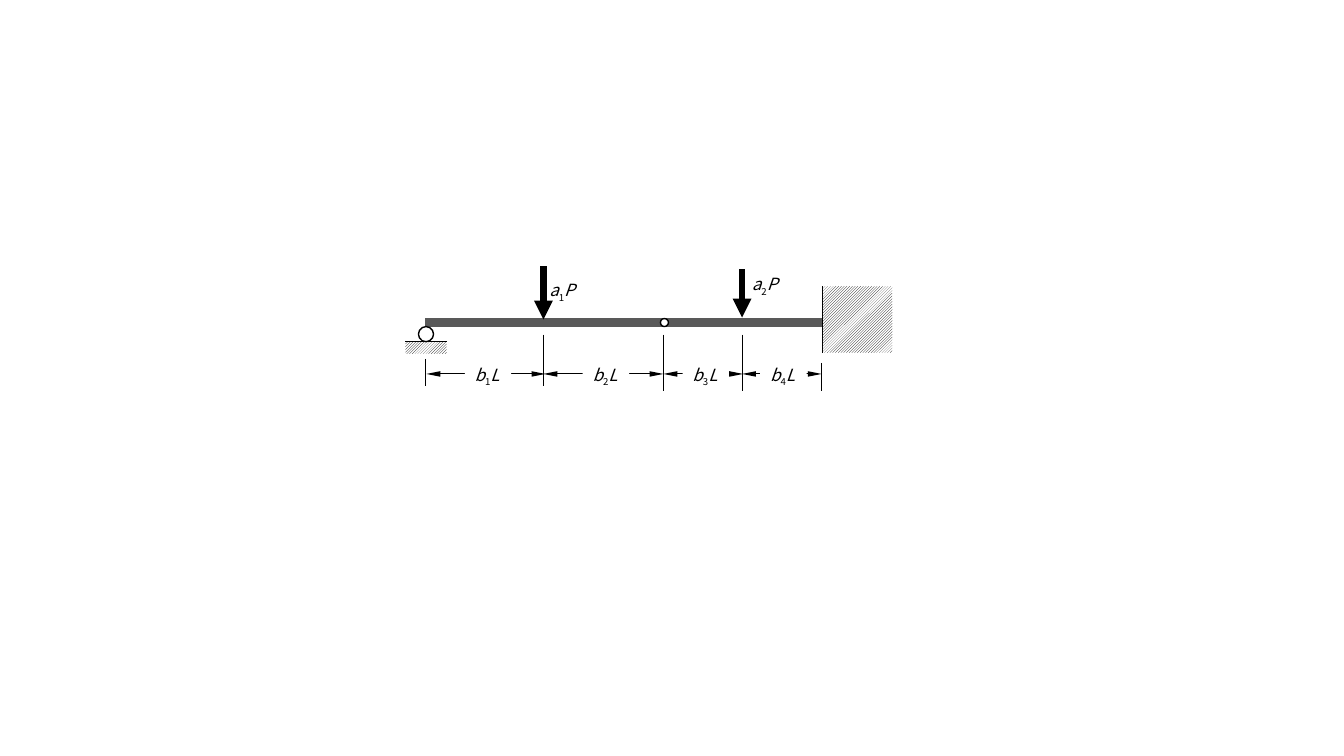
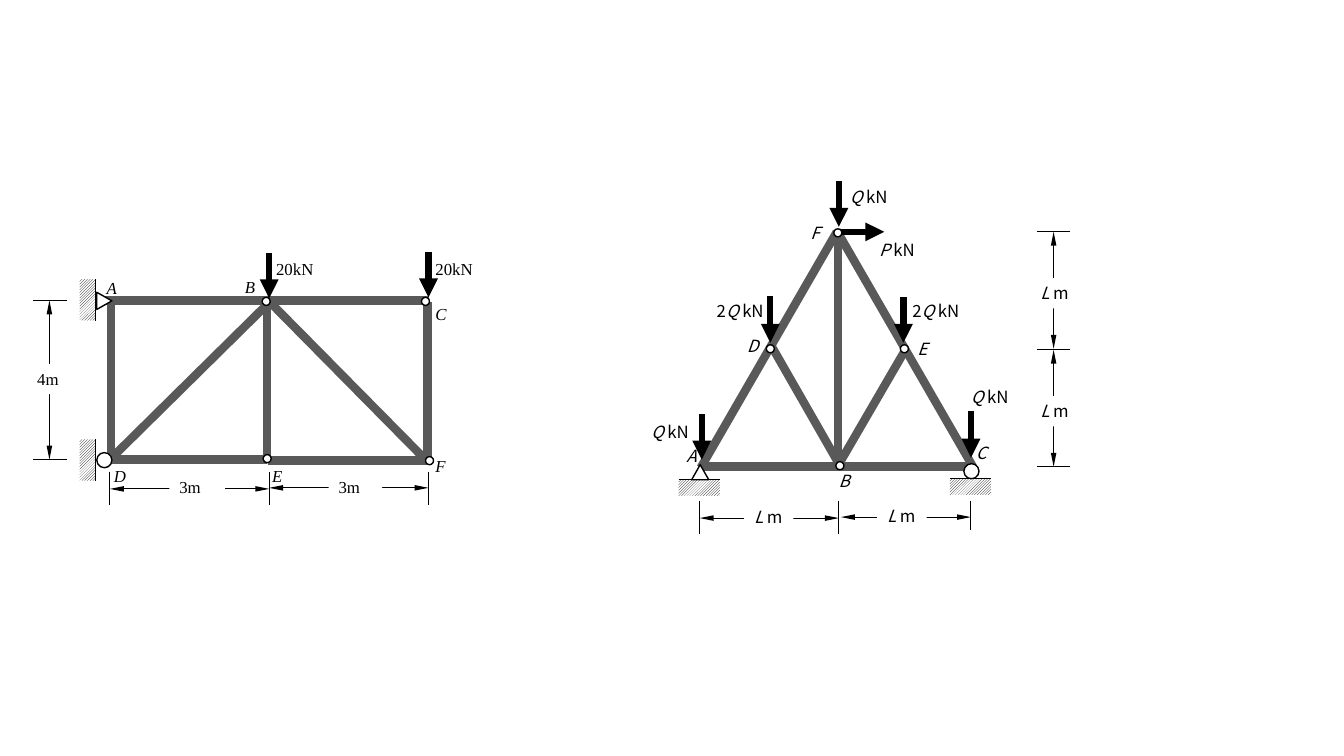
from dataclasses import dataclass

from lxml.etree import SubElement
from pptx import Presentation
from pptx.dml.color import RGBColor
from pptx.enum.dml import MSO_PATTERN
from pptx.enum.shapes import MSO_CONNECTOR, MSO_SHAPE
from pptx.enum.text import MSO_ANCHOR, PP_ALIGN
from pptx.oxml.ns import qn
from pptx.util import Inches, Pt


@dataclass(frozen=True)
class Theme:
    ink = RGBColor(0x00, 0x00, 0x00)
    paper = RGBColor(0xFF, 0xFF, 0xFF)
    steel = RGBColor(0x59, 0x59, 0x59)
    sans = "Noto Sans CJK KR"
    serif = "Times New Roman"
    text_size = Pt(12)
    member = Pt(6)
    load = Pt(4.5)
    outline = Pt(1)
    thin = Pt(0.75)
    pin = 0.8
    roller = 1.5
    wedge = (1.7, 1.5)
    row_height = 3
    label_width = 7.5


theme = Theme()
cell = Inches(0.1)


def draw_line(slide, points, width, color=theme.ink, arrows=()):
    line = slide.shapes.add_connector(
        MSO_CONNECTOR.STRAIGHT, *[round(value * cell) for value in points])
    line.line.width = width
    line.line.color.rgb = color
    head_width, head_length = ("sm", "lg") if width == theme.thin else ("med", "med")
    for end in arrows:
        SubElement(line.line._get_or_add_ln(), qn("a:" + end),
                   type="triangle", w=head_width, len=head_length)
    SubElement(line._element.spPr, qn("a:effectLst"))


def draw_shape(slide, kind, box, outlined=True):
    shape = slide.shapes.add_shape(kind, *[round(value * cell) for value in box])
    shape.shadow.inherit = False
    shape.fill.solid()
    shape.fill.fore_color.rgb = theme.paper
    if outlined:
        shape.line.color.rgb = theme.ink
        shape.line.width = theme.outline
    else:
        shape.line.fill.background()
    return shape


load_q = [("Q ", "italic"), ("kN", "")]
load_2q = [("2", "")] + load_q
load_p = [("P ", "italic"), ("kN", "")]
length_l = [("L", "italic"), (" m", "")]

beam = dict(
    page=0, font=theme.sans,
    members=[(42.2, 32, 81.6, 32)],
    walls=[(81.6, 28.4, 6.9, 6.6, "left"), (40.2, 33.9, 4.1, 1.2, "top")],
    wedges=[],
    rollers=[(42.25, 33.15)],
    loads=[(53.9, 31.7, 53.9, 26.4), (73.6, 31.5, 73.6, 26.7)],
    pins=[(65.9, 32)],
    dimensions=[(left, 37.1, right, 37.1) for left, right in
                [(42.3, 54.1), (53.9, 65.8), (65.8, 73.7), (73.6, 81.5)]],
    ticks=[(42.2, 35.6, 42.2, 38.3), (53.9, 33.2, 53.9, 38.3),
           (65.8, 33.2, 65.8, 38.8), (73.6, 33.2, 73.6, 38.8),
           (81.5, 36, 81.5, 38.8)],
    measures=[(left, 35.7, 4.6, [("b", "italic"), (str(number), "sub"), ("L", "italic")])
              for number, left in enumerate([46.1, 57.8, 67.7, 75.4], 1)],
    labels=[(left, top, [("a", "italic"), (number, "sub"), ("P", "italic")])
            for number, left, top in [("1", 53.5, 27.3), ("2", 73.6, 26.7)]],
)

frame = dict(
    page=1, font=theme.serif,
    members=[(42.4, 45.5, 42.4, 30), (42.4, 45.7, 26.6, 45.7),
             (11, 45.9, 11, 30.1), (26.5, 45.4, 26.5, 29.9),
             (26.5, 45.6, 10.7, 45.6), (42.5, 29.8, 10.3, 29.8),
             (26.7, 30, 10.9, 45.6), (42.4, 45.8, 26.6, 29.8)],
    walls=[(7.9, top, 1.6, 4.1, "right") for top in (27.7, 43.6)],
    wedges=[(9.5, 29.1, 90)],
    rollers=[(10.35, 45.65)],
    loads=[(42.5, 29.5, 42.5, 25), (26.7, 29.6, 26.7, 25.1)],
    pins=[(26.5, 45.5), (26.4, 29.9), (42.2, 29.9), (42.6, 45.7)],
    dimensions=[(4.9, 29.8, 4.9, 45.6), (10.9, 48.5, 26.7, 48.5),
                (26.7, 48.4, 42.5, 48.4)],
    ticks=[(3.3, row, 6.6, row) for row in (29.8, 45.6)]
    + [(column, 46.8, column, 50.1) for column in (10.9, 26.7, 42.5)],
    measures=[(2.7, 36.1, 5.2, [("4m", "")]), (16.8, 46.8, 5.5, [("3m", "")]),
              (32.6, 46.8, 5.3, [("3m", "")])],
    labels=[(left, top, [(name, "italic")]) for name, left, top in
            [("A", 9.6, 27.1), ("B", 23.3, 27), ("C", 42.2, 29.6),
             ("D", 10.3, 45.7), ("E", 26, 45.7), ("F", 42.2, 44.7)]]
    + [(left, 25.2, [("20kN", "")]) for left in (26.4, 42.2)],
)

roof = dict(
    page=1, font=theme.sans,
    members=[(83, 23, 69.5, 46.4), (83, 22.9, 96.5, 46.3),
             (96.4, 46.3, 69.4, 46.3), (89.8, 34.7, 83, 46.4),
             (76.5, 34.3, 83.2, 46), (83.1, 46.1, 83.1, 23)],
    walls=[(67.3, 47.6, 4.1, 1.6, "top"), (94.2, 47.5, 4.1, 1.6, "top")],
    wedges=[(68.6, 46.1, 0)],
    rollers=[(96.35, 46.75)],
    loads=[(87.7, 23, 83.2, 23), (83.2, 22.5, 83.2, 18),
           (76.4, 34, 76.4, 29.4), (89.6, 34, 89.6, 29.5),
           (96.3, 45.4, 96.3, 40.8), (69.6, 45.6, 69.6, 41.1)],
    pins=[(76.4, 34.6), (89.7, 34.6), (83.3, 46.2), (83.1, 23.1)],
    dimensions=[(69.4, 51.4, 83.2, 51.4), (83.4, 51.3, 96.3, 51.3),
                (104.5, 23, 104.5, 34.6), (104.5, 34.7, 104.5, 46.3)],
    ticks=[(69.4, 49.7, 69.4, 53), (83.2, 49.7, 83.2, 53), (96.3, 49.7, 96.3, 52.6)]
    + [(102.9, row, 106.1, row) for row in (23, 34.7, 46.3)],
    measures=[(left, top, 4.9, length_l) for left, top in
              [(73.8, 49.8), (87, 49.7), (102.2, 39.3), (102.2, 27.6)]],
    labels=[(left, top, [(name, "italic")]) for name, left, top in
            [("A", 67.1, 43.7), ("B", 82.2, 46.2), ("C", 95.8, 43.4),
             ("D", 73.1, 32.8), ("E", 90, 33.1), ("F", 79.4, 21.6)]]
    + [(left, top, load_q) for left, top in [(83.3, 18), (95.3, 37.9), (63.6, 41.3)]]
    + [(left, 29.3, load_2q) for left in (70.1, 89.5)]
    + [(86.2, 23.3, load_p)],
)

presentation = Presentation()
presentation.slide_width = Inches(13.33)
presentation.slide_height = Inches(7.5)
slides = [presentation.slides.add_slide(presentation.slide_layouts[6]) for _ in range(2)]

for drawing in (beam, frame, roof):
    slide = slides[drawing["page"]]

    for points in drawing["members"]:
        draw_line(slide, points, theme.member, theme.steel)

    for left, top, width, height, side in drawing["walls"]:
        wall = draw_shape(slide, MSO_SHAPE.RECTANGLE, (left, top, width, height), False)
        wall.fill.patterned()
        wall.fill.pattern = MSO_PATTERN.LIGHT_UPWARD_DIAGONAL
        wall.fill.fore_color.rgb = theme.ink
        wall.fill.back_color.rgb = theme.paper
        right, bottom = left + width, top + height
        face = {"left": (left, top, left, bottom),
                "right": (right, top, right, bottom),
                "top": (left, top, right, top)}[side]
        draw_line(slide, face, theme.thin)

    for left, top, rotation in drawing["wedges"]:
        wedge = draw_shape(slide, MSO_SHAPE.ISOSCELES_TRIANGLE, (left, top, *theme.wedge))
        wedge.rotation = rotation

    for points in drawing["loads"]:
        draw_line(slide, points, theme.load, arrows=["headEnd"])

    for centres, size in ((drawing["rollers"], theme.roller), (drawing["pins"], theme.pin)):
        for column, row in centres:
            draw_shape(slide, MSO_SHAPE.OVAL,
                       (column - size / 2, row - size / 2, size, size))

    for points in drawing["dimensions"]:
        draw_line(slide, points, theme.thin, arrows=["headEnd", "tailEnd"])
    for points in drawing["ticks"]:
        draw_line(slide, points, theme.thin)

    captions = [(draw_shape(slide, MSO_SHAPE.RECTANGLE,
                            (left, top, width, theme.row_height), False), runs)
                for left, top, width, runs in drawing["measures"]]
    captions += [(slide.shapes.add_textbox(
        *[round(value * cell) for value in (left, top, theme.label_width, theme.row_height)]), runs)
        for left, top, runs in drawing["labels"]]
    for caption, runs in captions:
        frame_of_text = caption.text_frame
        frame_of_text.word_wrap = True
        frame_of_text.margin_right = 0
        frame_of_text.vertical_anchor = MSO_ANCHOR.TOP
        paragraph = frame_of_text.paragraphs[0]
        paragraph.alignment = PP_ALIGN.LEFT
        paragraph.font.name = drawing["font"]
        paragraph.font.size = theme.text_size
        paragraph.font.color.rgb = theme.ink
        for text, style in runs:
            run = paragraph.add_run()
            run.text = text
            if style == "italic":
                run.font.italic = True
            elif style == "sub":
                run._r.get_or_add_rPr().set("baseline", "-25000")

presentation.save("out.pptx")
